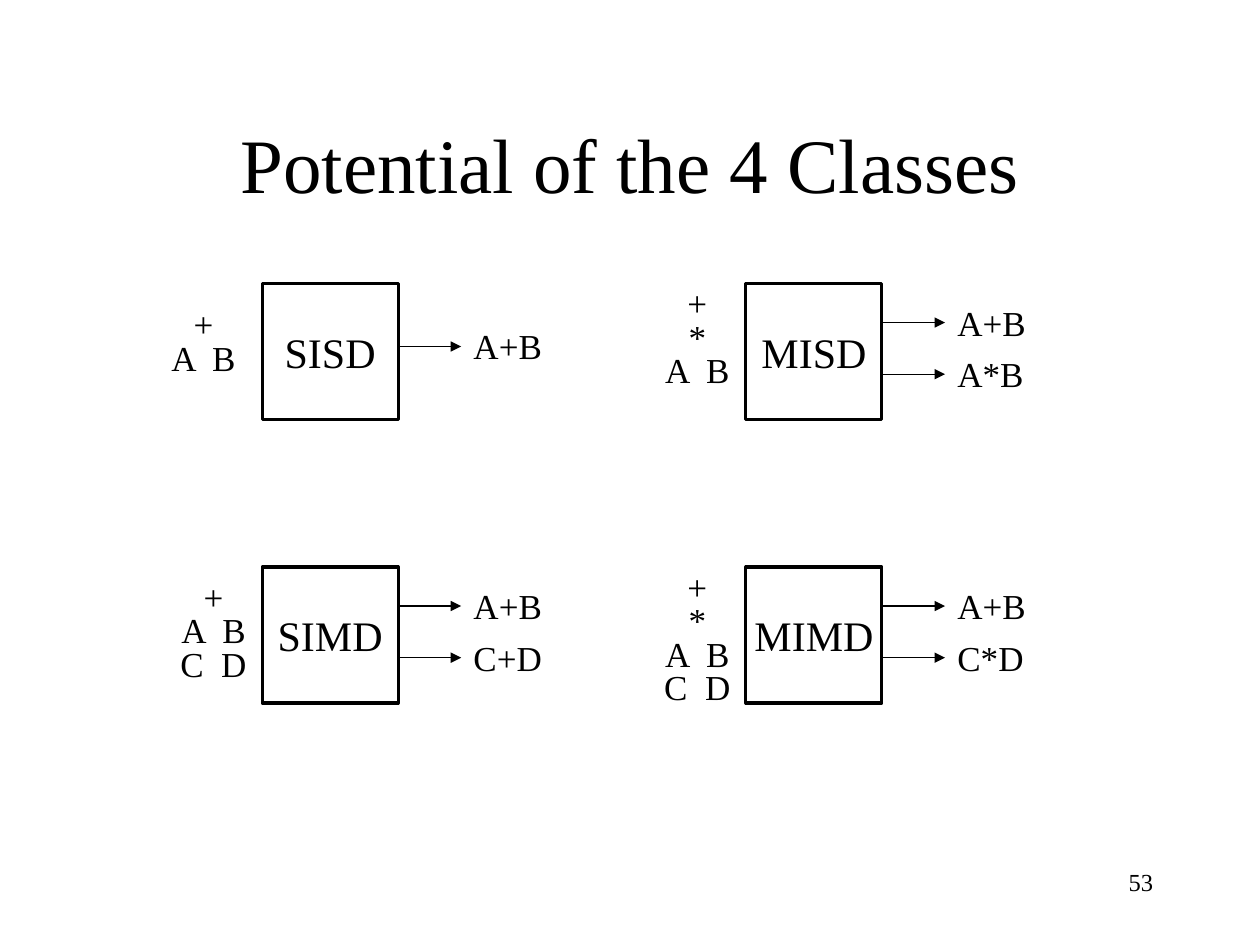
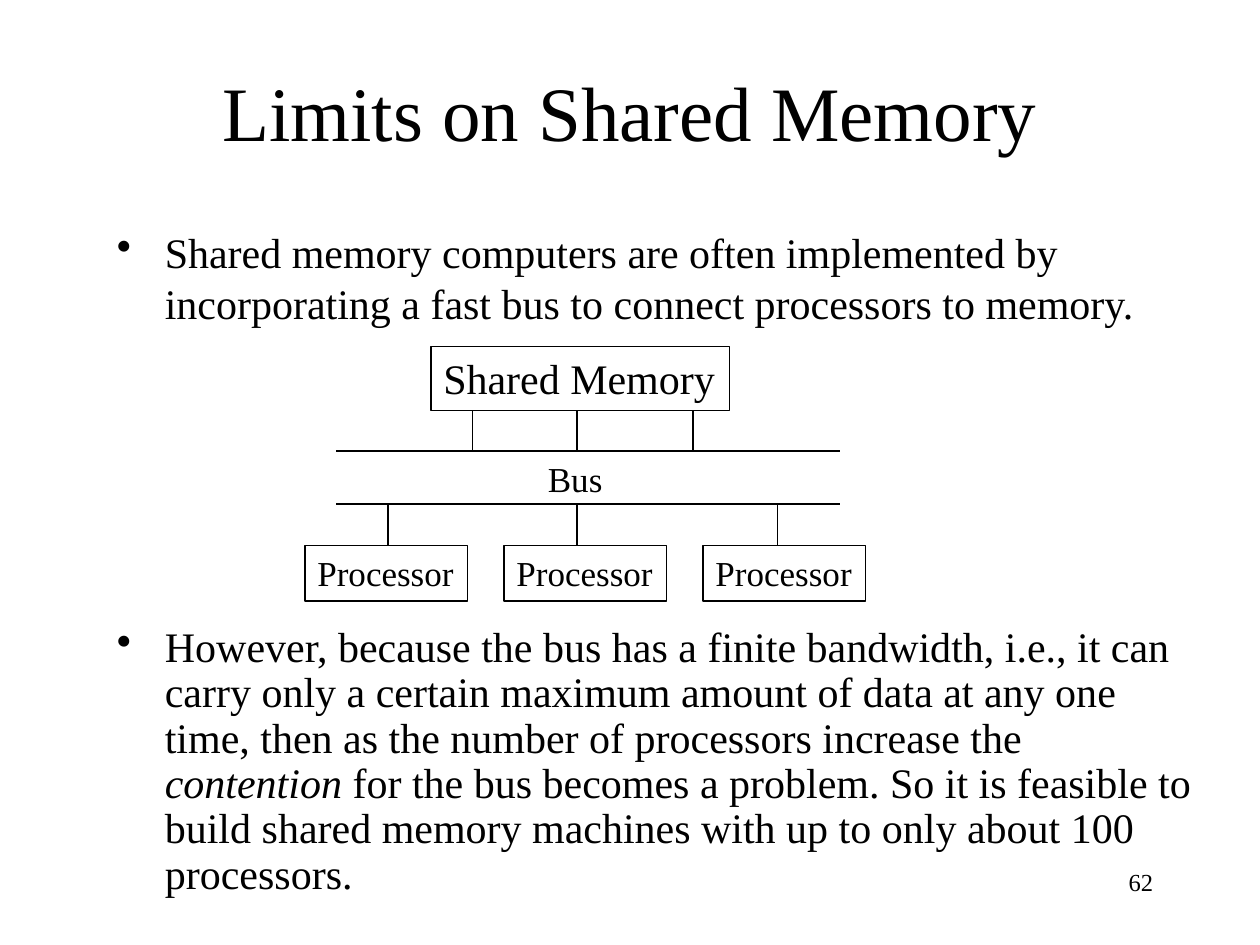
from dataclasses import dataclass
from typing import Any, NamedTuple

from pptx import Presentation
from pptx import util as u
from pptx.dml.color import RGBColor
from pptx.enum import shapes, text
from pptx.oxml import ns, xmlchemy


@dataclass(frozen=True)
class Theme:
    font: str = "Times New Roman"
    ink: RGBColor = RGBColor(0x00, 0x00, 0x00)
    paper: RGBColor = RGBColor(0xFF, 0xFF, 0xFF)
    title: int = 44
    body: int = 24
    label: int = 20
    number: int = 14
    thin: float = 0.75
    thick: float = 1.75


THEME = Theme()
LEFT, CENTER, RIGHT = text.PP_ALIGN.LEFT, text.PP_ALIGN.CENTER, text.PP_ALIGN.RIGHT


class Area(NamedTuple):
    left: float
    top: float
    width: float
    height: float

    def lengths(self) -> list[u.Length]:
        return [u.Inches(value) for value in self]


class Run(NamedTuple):
    text: str
    italic: bool = False


@dataclass(frozen=True)
class MachineClass:
    name: str
    left: float
    top: float
    operands: list[str]
    operands_at: tuple[float, float]
    outputs: list[str]


# Slide 1: the four classes
BOX_SIDE = 1.08
ARROW_LENGTH = 0.5
COLUMNS = (2.08, 5.92)
ROWS = (2.25, 4.5)
OUTPUT_OFFSETS = {1: (0.5,), 2: (0.31, 0.72)}
CLASSES = [
    MachineClass("SISD", COLUMNS[0], ROWS[0], ["+", "A  B"], (1.25, 2.42), ["A+B"]),
    MachineClass("SIMD", COLUMNS[0], ROWS[1], ["+", "A  B", "C  D"], (1.33, 4.58),
                 ["A+B", "C+D"]),
    MachineClass("MISD", COLUMNS[1], ROWS[0], ["+", "*", "A  B"], (5.17, 2.25),
                 ["A+B", "A*B"]),
    MachineClass("MIMD", COLUMNS[1], ROWS[1], ["+", "*", "A  B", "C  D"], (5.17, 4.5),
                 ["A+B", "C*D"]),
]

# Slide 2: the bus diagram and its bullets
BUS_LEFT, BUS_RIGHT = 2.67, 6.67
BUS_TOP, BUS_BOTTOM = 3.58, 4.0
MEMORY = Area(3.42, 2.75, 2.37, 0.51)
MEMORY_LINKS = (3.75, 4.58, 5.5)
PROCESSOR = Area(2.42, 4.33, 1.29, 0.44)
PROCESSOR_STEP = 1.58
PROCESSOR_LINKS = (3.08, 4.58, 6.17)
BULLET_INDENT = 0.38
IMPLEMENTATION = [Run("Shared memory computers are often implemented by incorporating "
                      "a fast bus to connect processors to memory.")]
CONTENTION = [
    Run("However, because the bus has a finite bandwidth, i.e., it can carry only a "
        "certain maximum amount of data at any one time, then as the number of "
        "processors increase the "),
    Run("contention", italic=True),
    Run(" for the bus becomes a problem. So it is feasible to build shared memory "
        "machines with up to only about 100 processors."),
]


def apply(target: Any, values: dict[str, Any]) -> None:
    for name, value in values.items():
        setattr(target, name, value)


def format_font(font: Any, size: int, italic: bool = False) -> None:
    apply(font, {"name": THEME.font, "size": u.Pt(size), "italic": italic})
    font.color.rgb = THEME.ink


def write(shape: Any, lines: list[str], size: int, align: Any = LEFT,
          wrap: bool = False, anchor: Any = text.MSO_ANCHOR.TOP,
          spacing: float = 1.0) -> None:
    frame = shape.text_frame
    apply(frame, {"text": "\n".join(lines), "word_wrap": wrap,
                  "vertical_anchor": anchor, "auto_size": text.MSO_AUTO_SIZE.NONE})
    for paragraph in frame.paragraphs:
        apply(paragraph, {"alignment": align, "line_spacing": spacing})
        for run in paragraph.runs:
            format_font(run.font, size)


def add_text(slide: Any, area: Area, lines: list[str], size: int, **options: Any) -> None:
    write(slide.shapes.add_textbox(*area.lengths()), lines, size, **options)


def add_box(slide: Any, area: Area, label: str, size: int, weight: float,
            filled: bool = True, **options: Any) -> None:
    shape = slide.shapes.add_shape(shapes.MSO_SHAPE.RECTANGLE, *area.lengths())
    shape.shadow.inherit = False
    if filled:
        shape.fill.solid()
        shape.fill.fore_color.rgb = THEME.paper
    else:
        shape.fill.background()
    shape.line.color.rgb = THEME.ink
    shape.line.width = u.Pt(weight)
    write(shape, [label], size, **options)


def add_line(slide: Any, start: tuple[float, float], end: tuple[float, float],
             arrow: bool = False) -> None:
    points = [u.Inches(value) for value in (*start, *end)]
    line = slide.shapes.add_connector(shapes.MSO_CONNECTOR.STRAIGHT, *points)
    line.line.color.rgb = THEME.ink
    line.line.width = u.Pt(THEME.thin)
    if arrow:
        head = xmlchemy.OxmlElement("a:tailEnd")
        head.set("type", "triangle")
        line.line._get_or_add_ln().append(head)
    line._element.spPr.append(xmlchemy.OxmlElement("a:effectLst"))


def add_bullet(slide: Any, area: Area, runs: list[Run], spacing: float = 1.0) -> None:
    frame = slide.shapes.add_textbox(*area.lengths()).text_frame
    frame.word_wrap = True
    paragraph = frame.paragraphs[0]
    paragraph.line_spacing = spacing
    properties = paragraph._p.get_or_add_pPr()
    indent = u.Inches(BULLET_INDENT)
    properties.set("marL", str(indent))
    properties.set("indent", str(-indent))
    bullet = properties.makeelement(ns.qn("a:buChar"), {"char": "•"})
    properties.append(bullet)
    for part in runs:
        run = paragraph.add_run()
        run.text = part.text
        format_font(run.font, THEME.body, part.italic)


def add_slide(presentation: Any, title: str, title_top: float, number: int) -> Any:
    slide = presentation.slides.add_slide(presentation.slide_layouts[5])
    places = Area(0.75, title_top, 8.5, 1.25).lengths()
    apply(slide.shapes.title, dict(zip(("left", "top", "width", "height"), places)))
    write(slide.shapes.title, [title], THEME.title, align=CENTER, wrap=True,
          anchor=text.MSO_ANCHOR.MIDDLE)
    add_text(slide, Area(7.17, 6.83, 2.08, 0.5), [str(number)], THEME.number,
             align=RIGHT, wrap=True)
    return slide


def draw_class(slide: Any, machine: MachineClass) -> None:
    add_box(slide, Area(machine.left, machine.top, BOX_SIDE, BOX_SIDE), machine.name,
            THEME.body, THEME.thick, filled=False, align=CENTER,
            anchor=text.MSO_ANCHOR.MIDDLE)
    height = round(0.1 + 0.27 * len(machine.operands), 2)
    add_text(slide, Area(*machine.operands_at, 0.73, height), machine.operands,
             THEME.label, align=CENTER, spacing=0.8)
    start = machine.left + BOX_SIDE
    end = start + ARROW_LENGTH
    for output, offset in zip(machine.outputs, OUTPUT_OFFSETS[len(machine.outputs)]):
        level = machine.top + offset
        add_line(slide, (start, level), (end, level), arrow=True)
        add_text(slide, Area(end, level - 0.22, 0.74, 0.43), [output], THEME.label)


def build_classes(presentation: Any) -> None:
    slide = add_slide(presentation, "Potential of the 4 Classes", 0.67, 53)
    for machine in CLASSES:
        draw_class(slide, machine)


def build_shared_memory(presentation: Any) -> None:
    slide = add_slide(presentation, "Limits on Shared Memory", 0.25, 62)
    add_bullet(slide, Area(0.83, 1.75, 8.5, 1), IMPLEMENTATION)
    add_bullet(slide, Area(0.83, 4.92, 8.75, 2.4), CONTENTION, spacing=0.9)

    # Links from the bus to the memory and the processors
    for x in MEMORY_LINKS:
        add_line(slide, (x, MEMORY.top + 0.5), (x, BUS_TOP))
    for x in PROCESSOR_LINKS:
        add_line(slide, (x, BUS_BOTTOM), (x, PROCESSOR.top))

    # Bus
    for level in (BUS_TOP, BUS_BOTTOM):
        add_line(slide, (BUS_LEFT, level), (BUS_RIGHT, level))
    add_text(slide, Area(4.25, BUS_TOP, 0.63, 0.43), ["Bus"], THEME.label)

    # Memory and processors
    add_box(slide, MEMORY, "Shared Memory", THEME.body, THEME.thin)
    for index in range(len(PROCESSOR_LINKS)):
        area = PROCESSOR._replace(left=PROCESSOR.left + index * PROCESSOR_STEP)
        add_box(slide, area, "Processor", THEME.label, THEME.thin)


def main() -> None:
    presentation = Presentation()
    presentation.slide_width = u.Inches(10)
    presentation.slide_height = u.Inches(7.5)
    build_classes(presentation)
    build_shared_memory(presentation)
    presentation.save("out.pptx")


if __name__ == "__main__":
    main()
